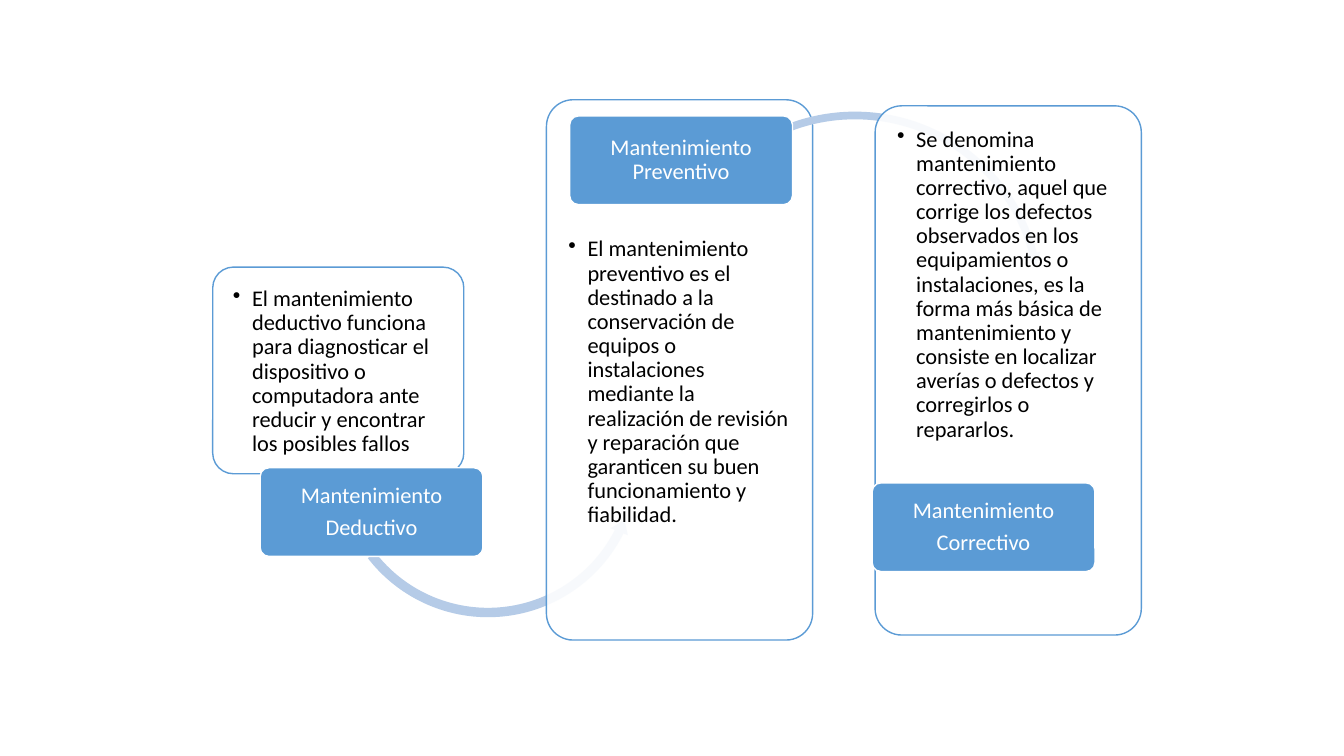
from dataclasses import dataclass
from typing import Optional

from lxml import etree
from pptx import Presentation
from pptx import util as u
from pptx.dml.color import RGBColor
from pptx.enum import shapes, text
from pptx.oxml import ns

COLORS = {"blue": "5B9BD5", "arrow": "B5CBE7", "white": "FFFFFF", "black": "000000"}
FONT = "Calibri"
SIZE = 16
LABEL_W, LABEL_H = 2.21, 0.88


@dataclass(frozen=True)
class Arrow:
    kind: shapes.MSO_SHAPE
    left: float
    top: float
    size: float
    adjustments: tuple[float, ...]


@dataclass(frozen=True)
class Stage:
    left: float
    top: float
    width: float
    height: float
    body: str
    label_left: float
    label_top: float
    label: tuple[str, ...]
    body_inset: float = 0.14
    arrow: Optional[Arrow] = None


STAGES = (
    Stage(
        2.11, 2.65, 2.49, 2.05,
        "El mantenimiento deductivo funciona para diagnosticar el dispositivo o "
        "computadora ante reducir y encontrar los posibles fallos",
        2.58, 4.64, ("Mantenimiento", "Deductivo"),
        arrow=Arrow(shapes.MSO_SHAPE.LEFT_CIRCULAR_ARROW, 3.29, 3.07, 3.1,
                    (0.03, 3.1, 16.05, 85.44, 0.03)),
    ),
    Stage(
        5.42, 0.99, 2.64, 5.36,
        "El mantenimiento preventivo es el destinado a la conservación de equipos o "
        "instalaciones mediante la realización de revisión y reparación que garanticen "
        "su buen funcionamiento y fiabilidad.",
        5.65, 1.15, ("Mantenimiento Preventivo",),
        body_inset=1.29,
        arrow=Arrow(shapes.MSO_SHAPE.CIRCULAR_ARROW, 6.58, 1.07, 3.8,
                    (0.02, 2.51, 207.28, 137.3, 0.02)),
    ),
    Stage(
        8.68, 1.05, 2.64, 5.25,
        "Se denomina mantenimiento correctivo, aquel que corrige los defectos observados "
        "en los equipamientos o instalaciones, es la forma más básica de mantenimiento y "
        "consiste en localizar averías o defectos y corregirlos o repararlos.",
        8.65, 4.79, ("Mantenimiento", "Correctivo"),
    ),
)


def rgb(name: str) -> RGBColor:
    return RGBColor.from_string(COLORS[name])


def add_block(s, kind: shapes.MSO_SHAPE, left: float, top: float, width: float,
              height: float, fill: str, line: Optional[str] = None,
              alpha: Optional[int] = None):
    sp = s.shapes.add_shape(kind, *(u.Inches(v) for v in (left, top, width, height)))
    sp.shadow.inherit = False
    sp.fill.solid()
    sp.fill.fore_color.rgb = rgb(fill)
    if alpha is not None:
        color = sp.fill._xPr.find(".//" + ns.qn("a:srgbClr"))
        etree.SubElement(color, ns.qn("a:alpha"), val=str(alpha * 1000))
    if line:
        sp.line.color.rgb = rgb(line)
        sp.line.width = u.Pt(1)
    else:
        sp.line.fill.background()
    return sp


def add_text(sp, lines: tuple[str, ...], *, color: str, align: text.PP_ALIGN,
             anchor: text.MSO_ANCHOR, insets: tuple[float, float, float, float],
             after: float, bullet: bool = False) -> None:
    tf = sp.text_frame
    tf.word_wrap = True
    tf.vertical_anchor = anchor
    tf.margin_left, tf.margin_top, tf.margin_right, tf.margin_bottom = map(u.Inches, insets)
    for i, line in enumerate(lines):
        p = tf.add_paragraph() if i else tf.paragraphs[0]
        p.alignment = align
        p.line_spacing = 0.9
        p.space_after = u.Pt(after)
        if bullet:
            p.level = 1
            pPr = p._p.get_or_add_pPr()
            pPr.set("marL", str(u.Inches(0.19)))
            pPr.set("indent", str(-u.Inches(0.19)))
            etree.SubElement(pPr, ns.qn("a:buChar"), char="•")
        r = p.add_run()
        r.text = line
        r.font.name = FONT
        r.font.size = u.Pt(SIZE)
        r.font.color.rgb = rgb(color)


def add_arrow(s, arrow: Arrow) -> None:
    sp = add_block(s, arrow.kind, arrow.left, arrow.top, arrow.size, arrow.size, "arrow")
    for i, value in enumerate(arrow.adjustments):
        sp.adjustments[i] = value


def add_stage(s, stage: Stage) -> None:
    box = shapes.MSO_SHAPE.ROUNDED_RECTANGLE
    card = add_block(s, box, stage.left, stage.top, stage.width, stage.height,
                     "white", "blue", alpha=90)
    card.adjustments[0] = 0.1
    add_text(card, (stage.body,), color="black", align=text.PP_ALIGN.LEFT,
             anchor=text.MSO_ANCHOR.TOP, insets=(0.14, stage.body_inset, 0.14, 0.14),
             after=2.4, bullet=True)
    if stage.arrow:
        add_arrow(s, stage.arrow)
    label = add_block(s, box, stage.label_left, stage.label_top, LABEL_W, LABEL_H,
                      "blue", "white")
    label.adjustments[0] = 0.1
    add_text(label, stage.label, color="white", align=text.PP_ALIGN.CENTER,
             anchor=text.MSO_ANCHOR.MIDDLE, insets=(0.03, 0.02, 0.03, 0.02), after=5.6)


def main() -> None:
    prs = Presentation()
    prs.slide_width, prs.slide_height = u.Inches(13.33), u.Inches(7.5)
    s = prs.slides.add_slide(prs.slide_layouts[6])
    for stage in STAGES:
        add_stage(s, stage)
    prs.save("out.pptx")


if __name__ == "__main__":
    main()
